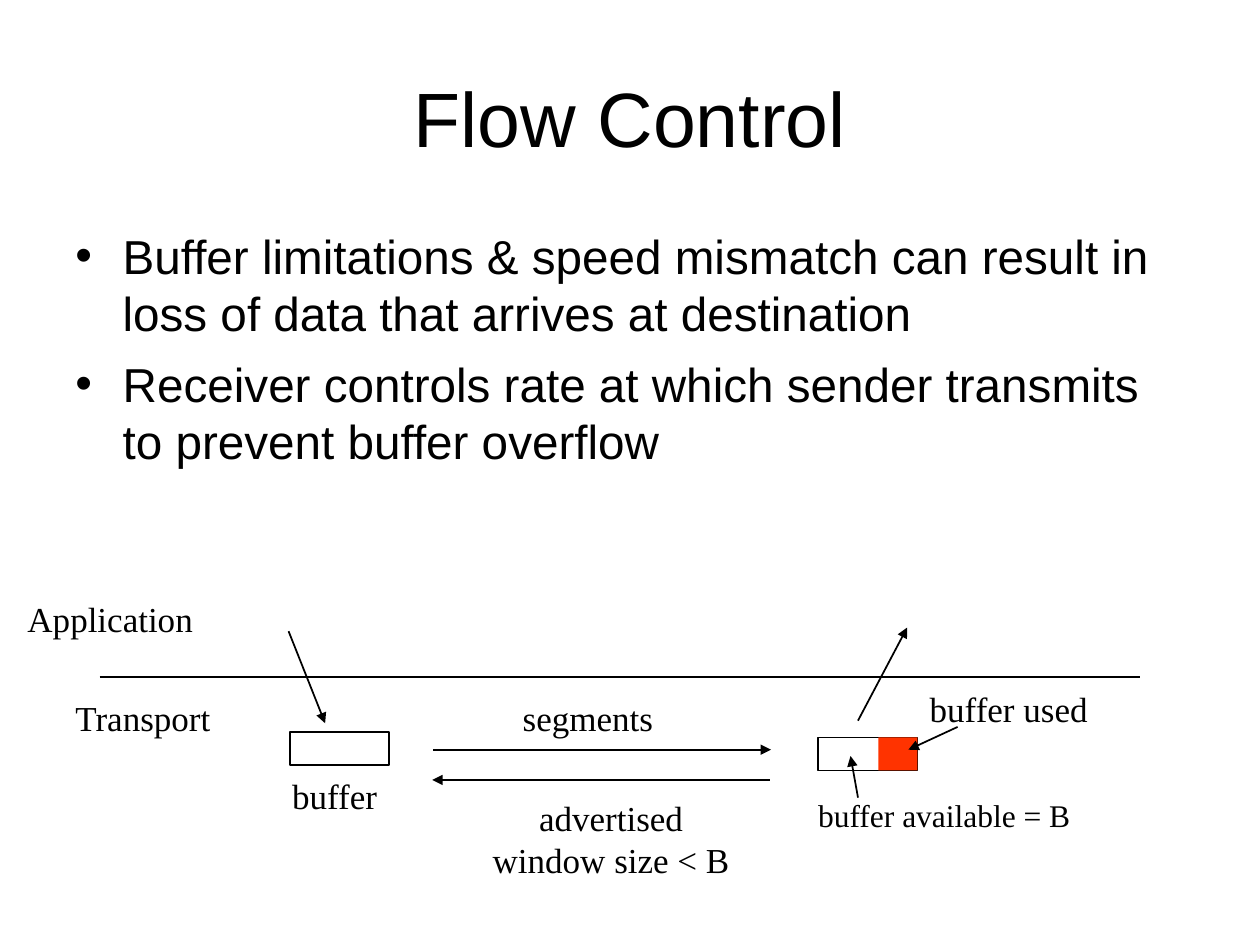
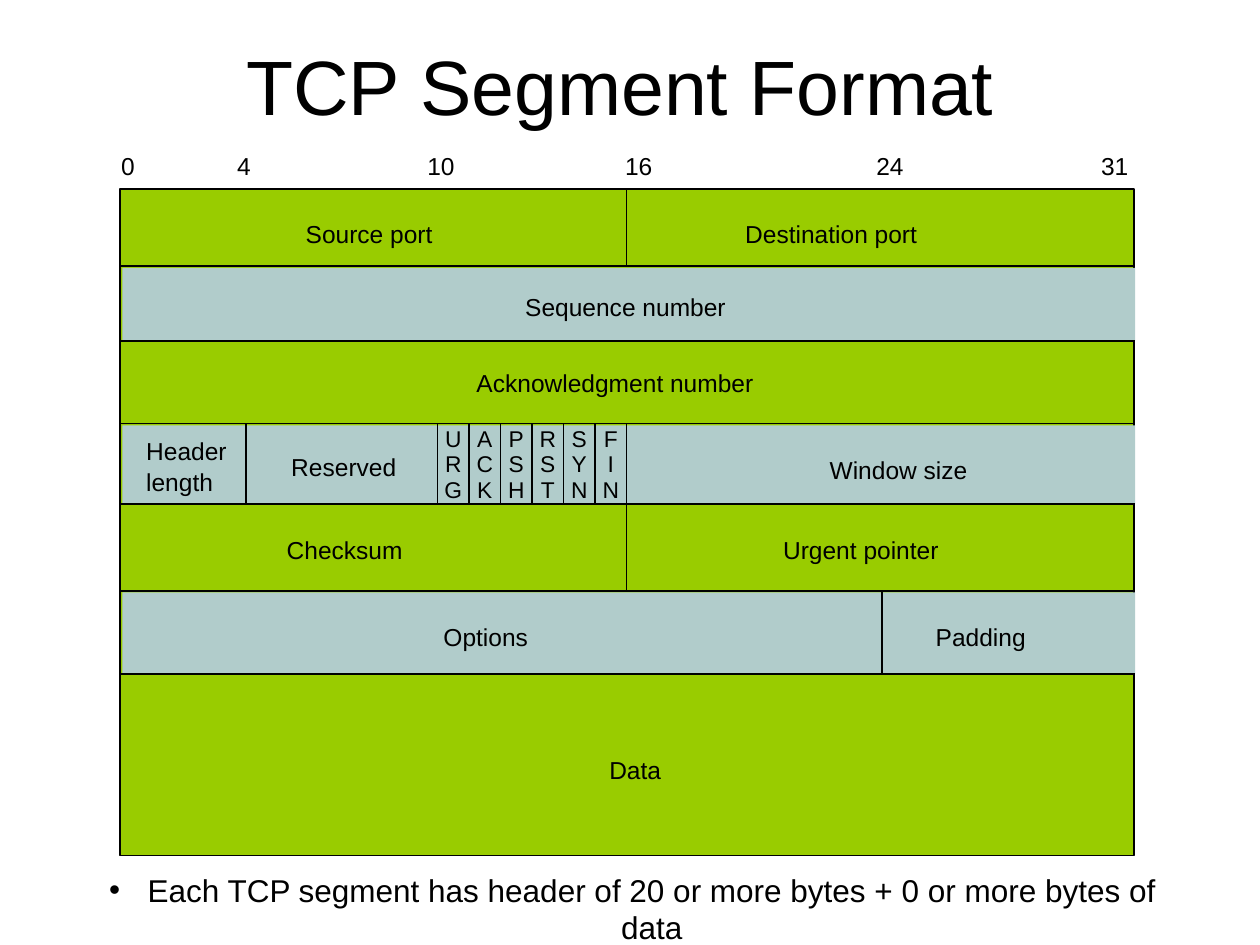
from dataclasses import dataclass
from typing import Any

from lxml import etree
from pptx import Presentation
from pptx.dml.color import RGBColor
from pptx.enum.shapes import MSO_CONNECTOR, MSO_SHAPE
from pptx.enum.text import MSO_ANCHOR, MSO_AUTO_SIZE, PP_ALIGN
from pptx.oxml.ns import qn
from pptx.util import Pt

LEFT, CENTER = PP_ALIGN.LEFT, PP_ALIGN.CENTER
TOP, MIDDLE = MSO_ANCHOR.TOP, MSO_ANCHOR.MIDDLE
NO_AUTOFIT = MSO_AUTO_SIZE.NONE
RECTANGLE, STRAIGHT = MSO_SHAPE.RECTANGLE, MSO_CONNECTOR.STRAIGHT

COLORS = {
    "ink": "000000",
    "used": "FF3300",
    "field": "99CC00",
    "band": "B1CCCB",
}
SANS, SERIF = "Arial", "Times New Roman"
INSET_X, INSET_Y = 7.2, 3.6
LINE_WIDTH = 1


@dataclass
class Box:
    left: float
    top: float
    width: float
    height: float

    def lengths(self) -> list[Pt]:
        return [Pt(value) for value in (self.left, self.top, self.width, self.height)]


@dataclass
class Label:
    """Text whose line breaks start new paragraphs."""
    text: str
    box: Box
    size: float = 14
    font: str = SANS
    align: Any = CENTER
    inset: bool = False
    wrap: bool = False
    bullet_indent: float = 0
    space_before: float = 0
    line_spacing: float = 1.0


@dataclass
class Segment:
    start: tuple[float, float]
    end: tuple[float, float]
    arrow: bool = False


@dataclass
class Field:
    text: str
    center: float
    top: float


def color(name: str) -> RGBColor:
    return RGBColor.from_string(COLORS[name])


def set_attributes(target: Any, values: dict[str, Any]) -> None:
    for name, value in values.items():
        setattr(target, name, value)


def set_bullet(paragraph: Any, indent: float) -> None:
    properties = paragraph._p.get_or_add_pPr()
    properties.set("marL", str(Pt(indent)))
    properties.set("indent", str(-Pt(indent)))
    etree.SubElement(properties, qn("a:buFont")).set("typeface", SANS)
    etree.SubElement(properties, qn("a:buChar")).set("char", "•")


def fill_text(shape: Any, label: Label, anchor: Any = TOP) -> None:
    inset_x, inset_y = (Pt(INSET_X), Pt(INSET_Y)) if label.inset else (0, 0)
    frame = shape.text_frame
    set_attributes(frame, {
        "text": label.text,
        "word_wrap": label.wrap,
        "auto_size": NO_AUTOFIT,
        "vertical_anchor": anchor,
        "margin_left": inset_x,
        "margin_right": inset_x,
        "margin_top": inset_y,
        "margin_bottom": inset_y,
    })
    for index, paragraph in enumerate(frame.paragraphs):
        if label.bullet_indent:
            set_bullet(paragraph, label.bullet_indent)
        set_attributes(paragraph, {
            "alignment": label.align,
            "line_spacing": label.line_spacing,
            "space_before": Pt(label.space_before if index else 0),
        })
        for run in paragraph.runs:
            set_attributes(run.font, {"name": label.font, "size": Pt(label.size)})
            run.font.color.rgb = color("ink")


def add_label(slide: Any, label: Label) -> None:
    fill_text(slide.shapes.add_textbox(*label.box.lengths()), label)


def add_titled_slide(presentation: Any, title: str, box: Box) -> Any:
    slide = presentation.slides.add_slide(presentation.slide_layouts[5])
    shape = slide.shapes.title
    names = ("left", "top", "width", "height")
    set_attributes(shape, dict(zip(names, box.lengths())))
    fill_text(shape, Label(title, box, 44, inset=True, wrap=True), MIDDLE)
    return slide


def add_rectangle(slide: Any, box: Box, fill: str = "", outlined: bool = True) -> None:
    shape = slide.shapes.add_shape(RECTANGLE, *box.lengths())
    shape.shadow.inherit = False
    if fill:
        shape.fill.solid()
        shape.fill.fore_color.rgb = color(fill)
    else:
        shape.fill.background()
    if outlined:
        shape.line.color.rgb = color("ink")
        shape.line.width = Pt(LINE_WIDTH)
    else:
        shape.line.fill.background()


def add_segment(slide: Any, segment: Segment) -> None:
    points = [Pt(value) for value in segment.start + segment.end]
    connector = slide.shapes.add_connector(STRAIGHT, *points)
    connector.line.color.rgb = color("ink")
    connector.line.width = Pt(LINE_WIDTH)
    properties = connector._element.spPr
    if segment.arrow:
        line = properties.find(qn("a:ln"))
        etree.SubElement(line, qn("a:tailEnd")).set("type", "triangle")
    etree.SubElement(properties, qn("a:effectLst"))


def build_flow_control(presentation: Any) -> None:
    slide = add_titled_slide(presentation, "Flow Control", Box(36, 21.6, 648, 90))
    add_label(slide, Label(
        "Buffer limitations & speed mismatch can result in loss of data that arrives "
        "at destination\n"
        "Receiver controls rate at which sender transmits to prevent buffer overflow",
        Box(36, 126, 648, 191.5), 27.2, align=LEFT, inset=True, wrap=True,
        bullet_indent=27, space_before=8))

    sender = Box(165.6, 418.3, 56.9, 18.9)
    receiver = Box(467.3, 421.4, 56.9, 18.9)
    used_width = 22.3
    used = Box(receiver.left + receiver.width - used_width, receiver.top,
               used_width, receiver.height)
    add_rectangle(slide, sender)
    add_rectangle(slide, receiver)
    add_rectangle(slide, used, "used", outlined=False)

    for segment in (
        Segment((56.9, 387), (651.6, 387)),
        Segment((164.9, 360.7), (185.8, 413.3), arrow=True),
        Segment((247.7, 428.4), (440.6, 428.4), arrow=True),
        Segment((439.9, 445.7), (247, 445.7), arrow=True),
        Segment((490.3, 411.8), (518.4, 358.6), arrow=True),
        Segment((490.3, 455.8), (486, 432), arrow=True),
        Segment((547.2, 415.4), (519.1, 428.4), arrow=True),
    ):
        add_segment(slide, segment)

    for text, box, size, align in (
        ("Application", Box(8.6, 337.7, 108.7, 31), 20, LEFT),
        ("Transport", Box(36, 394.6, 92.2, 31), 20, LEFT),
        ("buffer", Box(159.8, 439.2, 63.4, 31), 20, LEFT),
        ("segments", Box(291.6, 394.6, 88.6, 31), 20, LEFT),
        ("buffer used", Box(524.2, 389.5, 105.1, 31), 20, LEFT),
        ("advertised\nwindow size < B", Box(274.3, 451.4, 149.8, 54.7), 20, CENTER),
        ("buffer available = B", Box(460.1, 451.4, 159.1, 28.8), 18, CENTER),
    ):
        add_label(slide, Label(text, box, size, SERIF, align, inset=True))


def build_segment_format(presentation: Any) -> None:
    slide = add_titled_slide(presentation, "TCP Segment Format", Box(48.2, 15.1, 612.7, 67))

    left, right = 68.4, 648.7
    frame_top, frame_bottom = 108, 488.9
    middle, padding_left = 358, 504
    row_edges = [frame_top, 152, 194.7, 242, 288.1, 337.6, 385.2]
    rows = list(zip(row_edges, row_edges[1:]))

    add_rectangle(slide, Box(left, frame_top, 579.6, frame_bottom - frame_top), "field")
    for top, bottom in rows[1::2]:
        add_rectangle(slide, Box(left + 1.6, top + 1, right - left - 1.6, bottom - top - 1),
                      "band", outlined=False)
    for edge in row_edges[1:]:
        add_segment(slide, Segment((left, edge), (right, edge)))

    flags = ("URG", "ACK", "PSH", "RST", "SYN", "FIN")
    flag_width = 18
    flag_lefts = [middle - flag_width * (len(flags) - index) for index in range(len(flags))]
    dividers = {
        0: [middle],
        3: [140.4, *flag_lefts, middle],
        4: [middle],
        5: [padding_left],
    }
    for row, positions in dividers.items():
        top, bottom = rows[row]
        for x in positions:
            add_segment(slide, Segment((x, top), (x, bottom)))

    for flag, flag_left in zip(flags, flag_lefts):
        add_label(slide, Label("\n".join(flag), Box(flag_left, 244, flag_width, 44), 13,
                               line_spacing=0.93))

    bit_top, field_width, field_height = 86.4, 160, 16.6
    for field in (
        Field("0", 73.1, bit_top),
        Field("4", 139.4, bit_top),
        Field("10", 252, bit_top),
        Field("16", 365, bit_top),
        Field("24", 508.6, bit_top),
        Field("31", 637, bit_top),
        Field("Source port", 211, 125.3),
        Field("Destination port", 475, 125.3),
        Field("Sequence number", 357.5, 167),
        Field("Acknowledgment number", 351.5, 210.2),
        Field("Reserved", 196.5, 258.5),
        Field("Window size", 513.5, 260),
        Field("Checksum", 197, 306),
        Field("Urgent pointer", 492, 306),
        Field("Options", 277.6, 355.7),
        Field("Padding", 560.5, 355.7),
        Field("Data", 363, 431.3),
    ):
        box = Box(field.center - field_width / 2, field.top, field_width, field_height)
        add_label(slide, Label(field.text, box))
    add_label(slide, Label("Header\nlength", Box(83.5, 249.1, 46, 34), align=LEFT,
                           space_before=1.2))
    add_label(slide, Label(
        "Each TCP segment has header of 20 or more bytes + 0 or more bytes of data",
        Box(40.3, 494, 642.2, 46), 18, inset=True, wrap=True, bullet_indent=22))


def main() -> None:
    presentation = Presentation()
    set_attributes(presentation, {"slide_width": Pt(720), "slide_height": Pt(540)})
    build_flow_control(presentation)
    build_segment_format(presentation)
    presentation.save("out.pptx")


if __name__ == "__main__":
    main()
